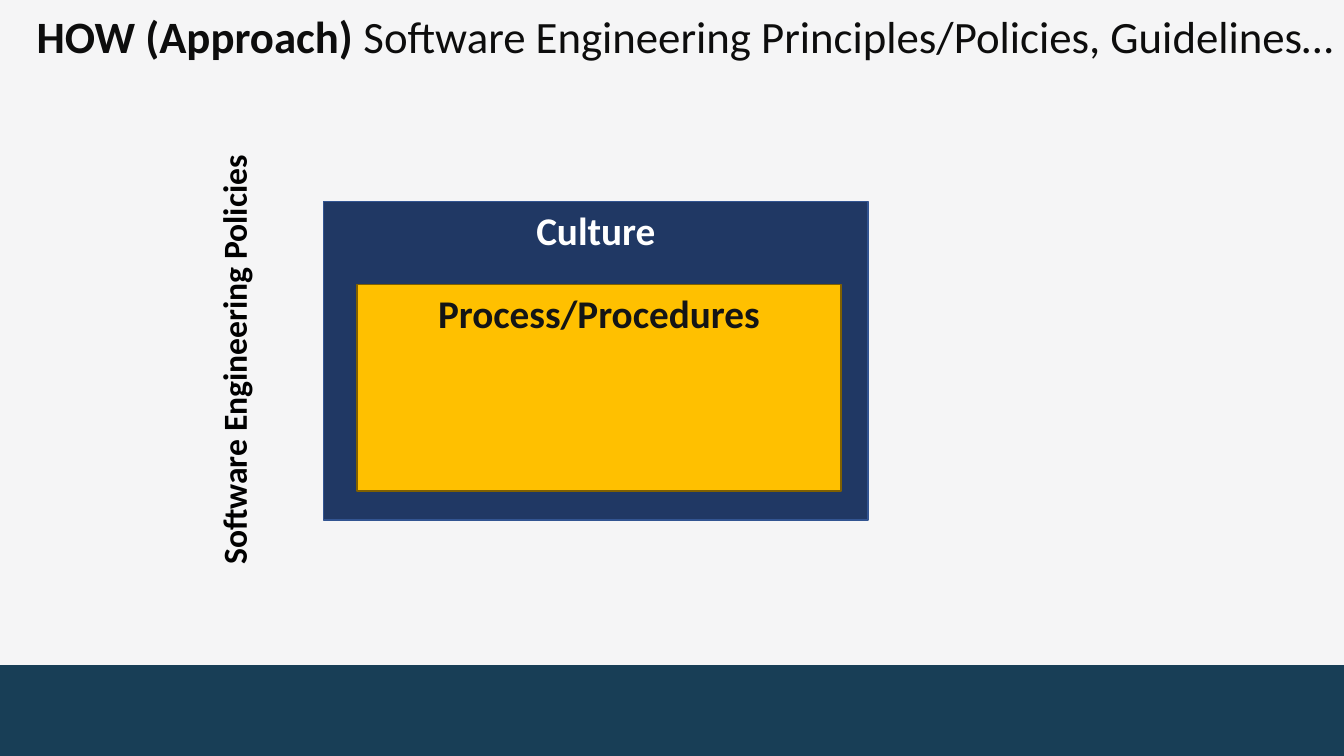
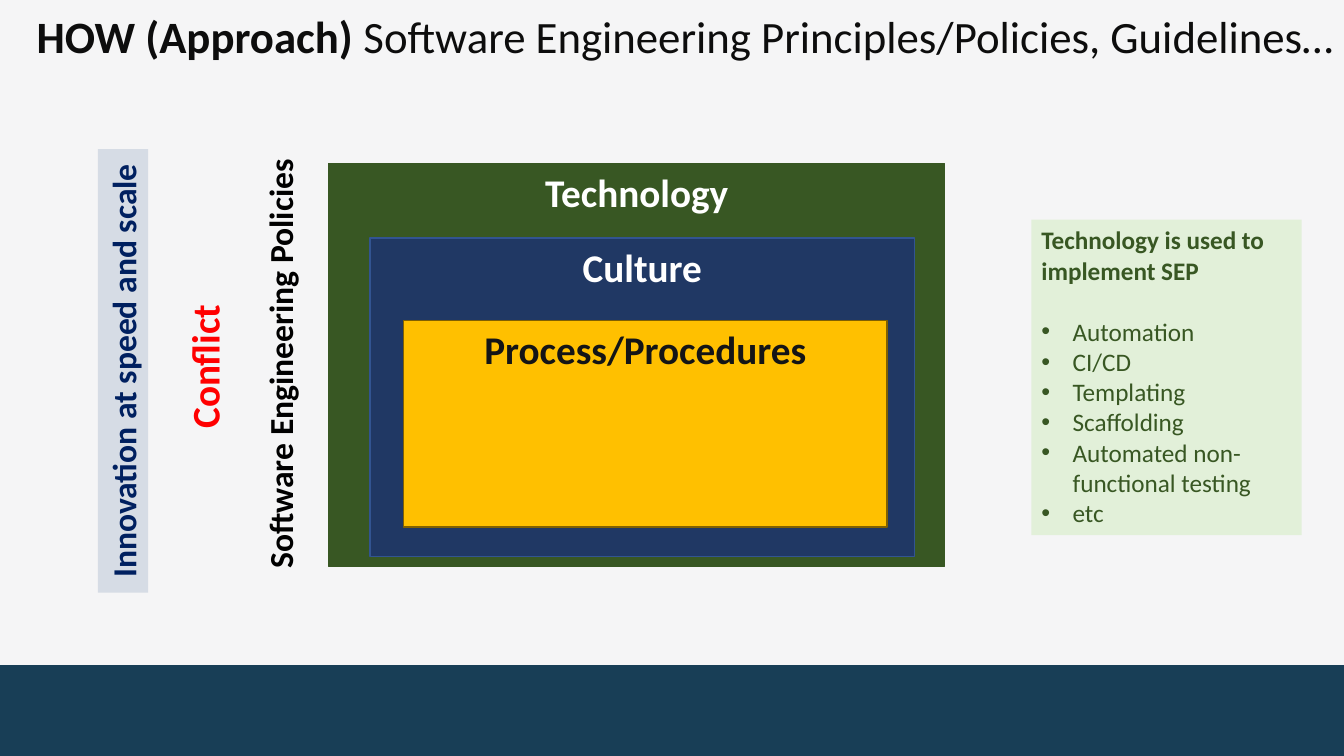
from dataclasses import dataclass

from lxml import etree
from pptx import Presentation
from pptx.dml.color import RGBColor
from pptx.enum.shapes import MSO_SHAPE
from pptx.enum.text import MSO_ANCHOR, MSO_AUTO_SIZE, PP_ALIGN
from pptx.oxml.ns import qn
from pptx.util import Inches, Pt

RECTANGLE = MSO_SHAPE.RECTANGLE
TOP, MIDDLE = MSO_ANCHOR.TOP, MSO_ANCHOR.MIDDLE
LEFT, CENTER, RIGHT = PP_ALIGN.LEFT, PP_ALIGN.CENTER, PP_ALIGN.RIGHT
NO_FIT = MSO_AUTO_SIZE.NONE


@dataclass(frozen=True)
class Theme:
    font: str = "Calibri"
    title_size: int = 32
    box_size: int = 28
    label_size: int = 24
    note_size: int = 18
    background: str = "F5F5F6"
    band: str = "183E56"
    title: str = "0D0D0D"
    black: str = "000000"
    white: str = "FFFFFF"
    dark: str = "141516"
    green: str = "385723"
    pale_green: str = "E2F0D9"
    navy: str = "203864"
    navy_line: str = "325491"
    gold: str = "FFC000"
    gold_line: str = "806000"
    pale_blue: str = "D6DCE5"
    blue: str = "002060"
    red: str = "FF0000"


theme = Theme()


def style_paragraph(para, size, color, bold=True, align=CENTER):
    para.alignment = align
    para.font.name = theme.font
    para.font.size = Pt(size)
    para.font.bold = bold
    para.font.color.rgb = RGBColor.from_string(color)


def add_box(page, bounds, text, size, color, fill=None, line=None, align=CENTER, rotation=0):
    place = [Inches(length) for length in bounds]
    if fill:
        box = page.shapes.add_shape(RECTANGLE, *place)
        box.shadow.inherit = False
        box.fill.solid()
        box.fill.fore_color.rgb = RGBColor.from_string(fill)
        if line:
            box.line.color.rgb = RGBColor.from_string(line)
            box.line.width = Pt(1)
        else:
            box.line.fill.background()
    else:
        box = page.shapes.add_textbox(*place)
    box.rotation = rotation
    box.text_frame.word_wrap = True
    box.text_frame.vertical_anchor = TOP
    if text:
        box.text_frame.text = text
        style_paragraph(box.text_frame.paragraphs[0], size, color, align=align)
    return box


deck = Presentation()
deck.slide_width = Inches(13.33)
deck.slide_height = Inches(7.5)

master = deck.slide_master
master.background.fill.solid()
master.background.fill.fore_color.rgb = RGBColor.from_string(theme.background)
title_only = deck.slide_layouts[5]
layout_title = title_only.placeholders[0]
layout_title.left, layout_title.top = Inches(0.14), Inches(0.09)
layout_title.width, layout_title.height = Inches(13.2), Inches(0.53)

pages = [deck.slides.add_slide(title_only) for _ in range(2)]
band = add_box(pages[0], (0, 6.6, 13.33, 0.9), "", theme.note_size, theme.white, theme.band)
master.shapes.element.append(band.element)

technology_page = pages[1]
add_box(technology_page, (3.26, 1.62, 6.11, 4), "Technology", theme.box_size,
        theme.white, theme.green, theme.green)

culture_corners = [(3.21, 2), (3.67, 2.36)]
policy_corners = [(0.09, 3.32), (0.55, 3.36)]
for page, (left, top), policy_corner in zip(pages, culture_corners, policy_corners):
    title = page.shapes.title
    title.text_frame.auto_size = NO_FIT
    title.text_frame.vertical_anchor = MIDDLE
    title_para = title.text_frame.paragraphs[0]
    style_paragraph(title_para, theme.title_size, theme.title, False, RIGHT)
    for text, bold in [("HOW (Approach) ", True),
                       ("Software Engineering Principles/Policies, Guidelines…", False)]:
        span = title_para.add_run()
        span.text = text
        span.font.bold = bold

    add_box(page, (left, top, 5.4, 3.16), "Culture", theme.box_size,
            theme.white, theme.navy, theme.navy_line)
    add_box(page, (left + 0.33, top + 0.82, 4.8, 2.05), "Process/Procedures", theme.box_size,
            theme.dark, theme.gold, theme.gold_line)
    add_box(page, (*policy_corner, 4.45, 0.5), "Software Engineering Policies",
            theme.label_size, theme.black, rotation=270)

note = add_box(technology_page, (10.23, 2.18, 2.68, 3.13), "Technology is used to implement SEP",
               theme.note_size, theme.green, theme.pale_green, align=LEFT)
note.text_frame.paragraphs[0].space_after = Pt(22)
for text in ["Automation", "CI/CD", "Templating", "Scaffolding",
             "Automated non-functional testing", "etc"]:
    para = note.text_frame.add_paragraph()
    para.text = text
    properties = para._p.get_or_add_pPr()
    properties.set("marL", str(Inches(0.31)))
    properties.set("indent", str(Inches(-0.31)))
    etree.SubElement(properties, qn("a:buFont")).set("typeface", "Arial")
    etree.SubElement(properties, qn("a:buChar")).set("char", "•")
    style_paragraph(para, theme.note_size, theme.green, False, LEFT)

add_box(technology_page, (-0.98, 3.43, 4.4, 0.5), "Innovation at speed and scale",
        theme.label_size, theme.blue, theme.pale_blue, rotation=270)
add_box(technology_page, (1.29, 3.33, 1.47, 0.57), "Conflict",
        theme.box_size, theme.red, align=LEFT, rotation=270)

deck.save("out.pptx")
